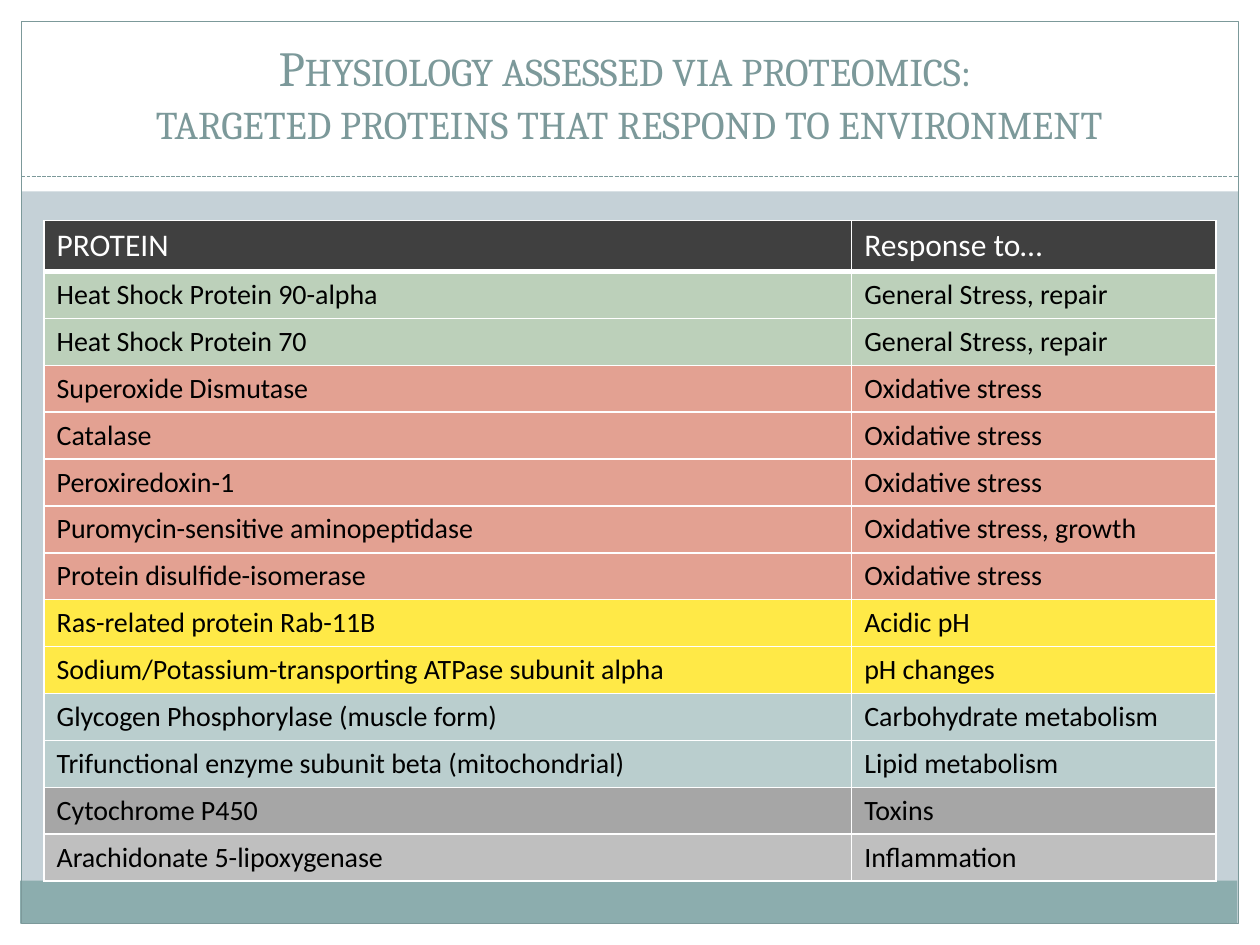
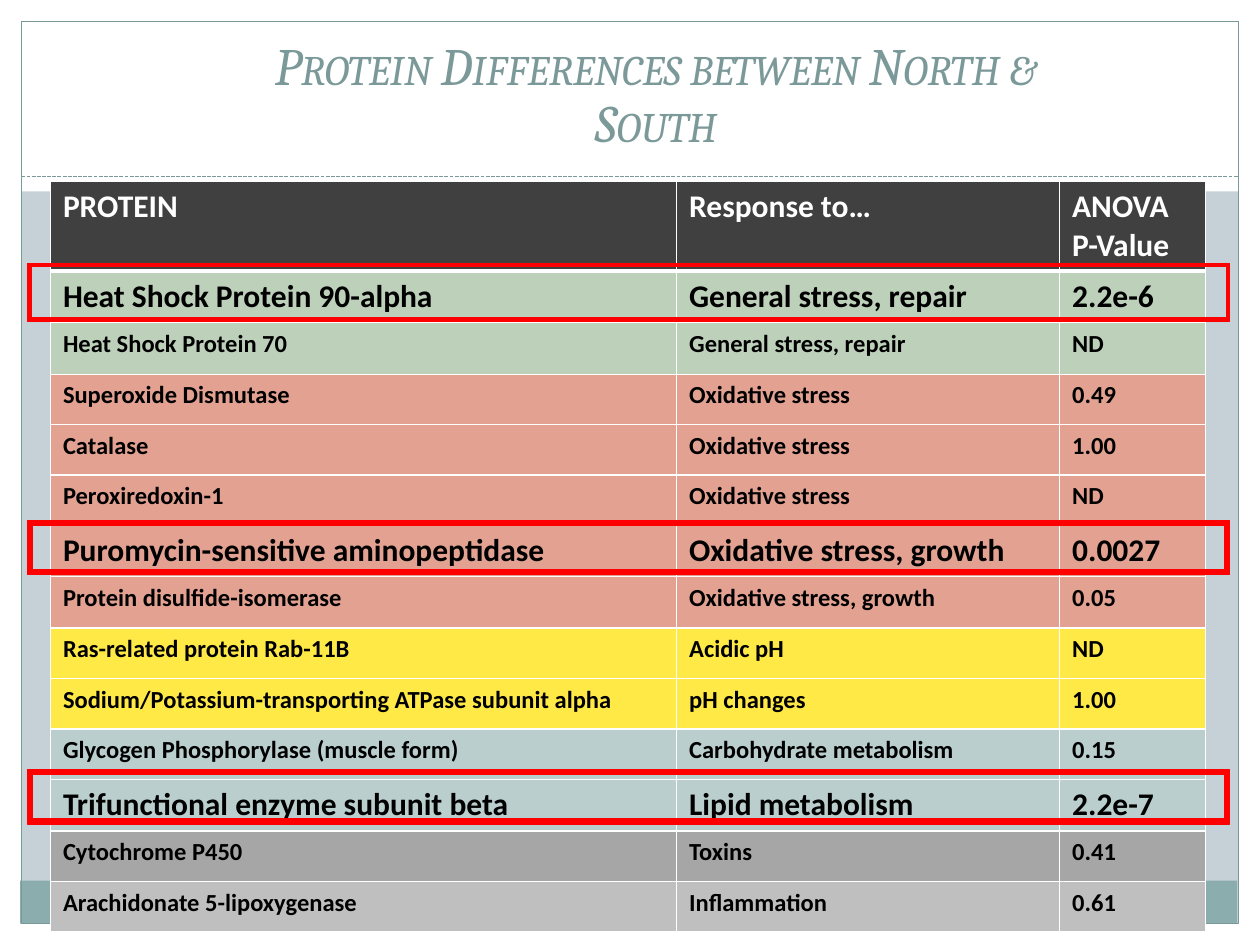
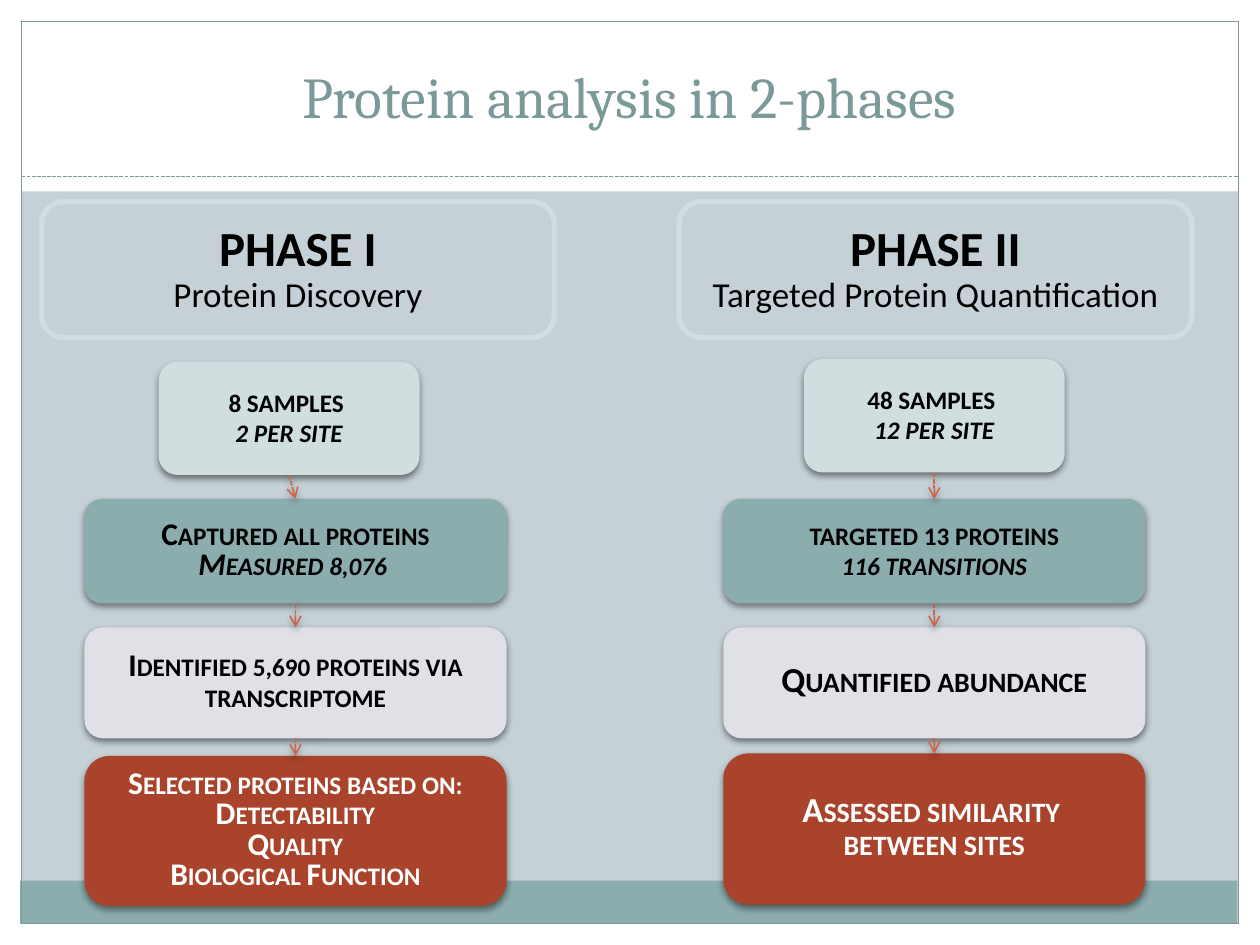
"""Build three slides on targeted protein analysis."""
from dataclasses import dataclass
from itertools import pairwise

from lxml import etree
from pptx import Presentation
from pptx.dml.color import RGBColor
from pptx.enum import dml, shapes, text
from pptx.oxml import ns
from pptx.util import Pt

PX = 9144


@dataclass(frozen=True)
class Theme:
    """Colours, fonts and type sizes of the deck."""
    background: str = "C5D1D7"
    white: str = "FFFFFF"
    black: str = "000000"
    band: str = "8CADAE"
    title: str = "7C999A"
    header: str = "404040"
    pale: str = "D1DEDF"
    lilac: str = "DFE1E7"
    rust: str = "A9432B"
    arrow: str = "D16349"
    highlight: str = "FF0000"
    stress: str = "BCD0BA"
    oxidative: str = "E3A192"
    acidity: str = "FFE947"
    metabolism: str = "BACECE"
    toxins: str = "A6A6A6"
    inflammation: str = "BFBFBF"
    heading_font: str = "Cambria"
    body_font: str = "Calibri"
    phase_size: int = 28
    subtitle_size: int = 20
    strong_size: int = 18
    row_size: int = 16
    small_size: int = 14


THEME = Theme()
ROW_FILLS = ([THEME.header] + [THEME.stress] * 2 + [THEME.oxidative] * 5 + [THEME.acidity] * 2
             + [THEME.metabolism] * 2 + [THEME.toxins, THEME.inflammation])

RESPONSES = [
    ("PROTEIN", "Response to…"),
    ("Heat Shock Protein 90-alpha", "General Stress, repair"),
    ("Heat Shock Protein 70", "General Stress, repair"),
    ("Superoxide Dismutase", "Oxidative stress"),
    ("Catalase", "Oxidative stress"),
    ("Peroxiredoxin-1", "Oxidative stress"),
    ("Puromycin-sensitive aminopeptidase", "Oxidative stress, growth"),
    ("Protein disulfide-isomerase", "Oxidative stress"),
    ("Ras-related protein Rab-11B", "Acidic pH"),
    ("Sodium/Potassium-transporting ATPase subunit alpha", "pH changes"),
    ("Glycogen Phosphorylase (muscle form)", "Carbohydrate metabolism"),
    ("Trifunctional enzyme subunit beta (mitochondrial)", "Lipid metabolism"),
    ("Cytochrome P450", "Toxins"),
    ("Arachidonate 5-lipoxygenase", "Inflammation"),
]
P_VALUES = ["ANOVA P-Value", "2.2e-6", "ND", "0.49", "1.00", "ND", "0.0027", "0.05", "ND",
            "1.00", "0.15", "2.2e-7", "0.41", "0.61"]
REWORDED = {
    "General Stress, repair": "General stress, repair",
    "Trifunctional enzyme subunit beta (mitochondrial)": "Trifunctional enzyme subunit beta",
}
SIGNIFICANT_ROWS = (1, 6, 11)


def emu(*lengths):
    """Turn px lengths into EMU."""
    return [length * PX for length in lengths]


def rgb(color):
    """Turn a hex string into a colour."""
    return RGBColor.from_string(color)


def add_xml(parent, tag, **attributes):
    """Append a DrawingML element and return it."""
    element = etree.SubElement(parent, ns.qn(f"a:{tag}"))
    for name, value in attributes.items():
        element.set(name, str(value))
    return element


def format_paragraph(paragraph, size, color, font=THEME.body_font, bold=False, italic=False,
                     small_caps=False, spacing=None, align=None):
    """Set the font and layout of one paragraph."""
    paragraph.alignment = align
    paragraph.line_spacing = spacing
    style = paragraph.font
    style.name, style.size, style.bold, style.italic = font, Pt(size), bold, italic
    style.color.rgb = rgb(color)
    if small_caps:
        style._rPr.set("cap", "small")


def add_box(slide, kind, box, fill=None, line=None, line_width=0.75):
    """Add a preset shape with plain fill and line."""
    shape = slide.shapes.add_shape(kind, *emu(*box))
    shape.shadow.inherit = False
    if fill:
        shape.fill.solid()
        shape.fill.fore_color.rgb = rgb(fill)
    else:
        shape.fill.background()
    if line:
        shape.line.color.rgb = rgb(line)
        shape.line.width = Pt(line_width)
    else:
        shape.line.fill.background()
    return shape


def add_dashed_line(slide, ends, color, width):
    """Add a dashed straight connector with an empty effect list."""
    line = slide.shapes.add_connector(shapes.MSO_CONNECTOR.STRAIGHT, *emu(*ends))
    line.line.color.rgb = rgb(color)
    line.line.width = Pt(width)
    line.line.dash_style = dml.MSO_LINE.SQUARE_DOT
    return line, add_xml(line.element.spPr, "effectLst")


def add_shadow(effects, opacity):
    """Add a soft shadow falling straight down."""
    shadow = add_xml(effects, "outerShdw", blurRad=Pt(4), dist=Pt(2), dir=5400000,
                     algn="ctr", rotWithShape=0)
    color = add_xml(shadow, "srgbClr", val=THEME.black)
    add_xml(color, "alpha", val=opacity * 1000)


def add_backdrop(slide):
    """Draw the bands and border once and move them to the slide's layout."""
    layout = slide.slide_layout
    layout.background.fill.solid()
    layout.background.fill.fore_color.rgb = rgb(THEME.background)
    rectangle = shapes.MSO_SHAPE.RECTANGLE
    margins = [(0, 733, 1000, 17), (0, 0, 1000, 152), (0, 0, 17, 750), (983, 0, 17, 750)]
    parts = [add_box(slide, rectangle, box, THEME.white) for box in margins]
    parts.append(add_box(slide, rectangle, (16, 699, 966, 34), THEME.band))
    parts.append(add_box(slide, rectangle, (17, 17, 966, 716), line=THEME.title))
    parts.append(add_dashed_line(slide, (17, 140, 983, 140), THEME.title, 0.75)[0])
    for index, part in enumerate(parts):
        part.element.xpath(".//p:cNvPr")[0].set("id", str(100 + index))
        layout.shapes.element.insert(2 + index, part.element)


def add_title(slide, box, words, size, **style):
    """Place and format the title placeholder."""
    title = slide.shapes.title
    title.left, title.top, title.width, title.height = emu(*box)
    frame = title.text_frame
    frame.text = words
    frame.auto_size = text.MSO_AUTO_SIZE.NONE
    frame.vertical_anchor = text.MSO_ANCHOR.BOTTOM
    format_paragraph(frame.paragraphs[0], size, THEME.title, THEME.heading_font,
                     align=text.PP_ALIGN.CENTER, **style)


def format_cell(cell, words, row, size, bold):
    """Fill in one table cell with white borders."""
    cell.text = words
    format_paragraph(cell.text_frame.paragraphs[0], size,
                     THEME.black if row else THEME.white, bold=bold)
    properties = cell._tc.get_or_add_tcPr()
    for side in "LRTB":
        heavy = (row, side) in ((0, "B"), (1, "T"))
        border = add_xml(properties, f"ln{side}", w=Pt(3 if heavy else 1))
        add_xml(add_xml(border, "solidFill"), "srgbClr", val=THEME.white)
    cell.fill.solid()
    cell.fill.fore_color.rgb = rgb(ROW_FILLS[row])


def add_protein_table(slide, origin, widths, heights, rows, sizes, bold=False):
    """Add a table of proteins coloured by response."""
    box = (*origin, sum(widths), sum(heights))
    table = slide.shapes.add_table(len(rows), len(widths), *emu(*box)).table
    table.first_row = table.horz_banding = False
    for column, width in zip(table.columns, emu(*widths)):
        column.width = width
    for row, height in zip(table.rows, emu(*heights)):
        row.height = height
    for row, values in enumerate(rows):
        for column, words in enumerate(values):
            format_cell(table.cell(row, column), words, row, sizes[row], bold)


def add_process(slide, box, lines, **look):
    """Add a rounded box holding centred (words, size, color, style) lines."""
    shape = add_box(slide, shapes.MSO_SHAPE.FLOWCHART_ALTERNATE_PROCESS, box, **look)
    frame = shape.text_frame
    frame.word_wrap = True
    frame.vertical_anchor = text.MSO_ANCHOR.MIDDLE
    for index, (words, size, color, style) in enumerate(lines):
        paragraph = frame.add_paragraph() if index else frame.paragraphs[0]
        paragraph.text = words
        format_paragraph(paragraph, size, color, align=text.PP_ALIGN.CENTER, **style)
    return shape


def add_phase(slide, left, top, name, subtitle, steps):
    """Add a phase heading and its chain of steps below."""
    add_process(slide, (left, top, 407, 108),
                [(name, THEME.phase_size, THEME.black, {"bold": True, "spacing": 0.9}),
                 (subtitle, THEME.subtitle_size, THEME.black, {"spacing": 0.9})],
                line=THEME.pale, line_width=3)
    fills = (THEME.pale, THEME.band, THEME.lilac, THEME.rust)
    chain = []
    for fill, ((x, y, width, height), size, lines, italic_last) in zip(fills, steps):
        color = THEME.white if fill == THEME.rust else THEME.black
        styled = [(words, size, color,
                   {"bold": True, "small_caps": True, "spacing": 0.8,
                    "italic": italic_last and words == lines[-1]}) for words in lines]
        shape = add_process(slide, (left + x, top + y, width, height), styled, fill=fill)
        add_shadow(shape.element.spPr.find(ns.qn("a:effectLst")), 45)
        chain.append(shape)
    for upper, lower in pairwise(chain):
        arrow, effects = add_dashed_line(slide, (0, 0, 0, 0), THEME.arrow, 0.9)
        arrow.begin_connect(upper, 2)
        arrow.end_connect(lower, 0)
        add_xml(arrow.line._get_or_add_ln(), "tailEnd", type="arrow")
        add_shadow(effects, 35)


def build_response_slide(slide):
    """Fill the slide listing proteins and their responses."""
    add_title(slide, (33, 41, 933, 83),
              "Physiology assessed via proteomics: \vtargeted proteins that respond to environment",
              28, small_caps=True, spacing=0.9)
    sizes = [THEME.strong_size] + [THEME.row_size] * 13
    add_protein_table(slide, (35, 175), (641, 289), [36] * 14, RESPONSES, sizes)


def build_difference_slide(slide):
    """Fill the slide comparing proteins of two regions."""
    add_title(slide, (172, 59, 697, 68), "Protein Differences between North & South",
              30, italic=True, small_caps=True, spacing=0.9)
    rows = [(protein, response, value)
            for (protein, response), value in zip(RESPONSES, P_VALUES)]
    rows = [[REWORDED.get(words, words) for words in row] for row in rows]
    rows[7][1] = "Oxidative stress, growth"
    sizes = [THEME.strong_size if row in (0, *SIGNIFICANT_ROWS) else THEME.small_size
             for row in range(len(rows))]
    heights = [69] + [41 if row in (1, 2, 7, 11) else 40 for row in range(1, len(rows))]
    add_protein_table(slide, (40, 144), (497, 304, 116), heights, rows, sizes, bold=True)
    for top, height, thickness in ((209, 46, 0.06), (413, 43, 0.09), (611, 43, 0.09)):
        frame = add_box(slide, shapes.MSO_SHAPE.FRAME, (22, top, 954, height),
                        THEME.highlight, THEME.highlight)
        frame.adjustments[0] = thickness


def build_phase_slide(slide):
    """Fill the slide showing the two phases of analysis."""
    add_title(slide, (33, 25, 933, 83), "Protein analysis in 2-phases", 33)
    strong, large = THEME.strong_size, THEME.subtitle_size
    add_phase(slide, 33, 160, "PHASE I", "Protein Discovery", [
        ((93, 127, 207, 90), strong, ["8 samples ", "2 per site"], True),
        ((34, 236, 335, 83), strong, ["Captured all proteins", "Measured 8,076 "], True),
        ((34, 338, 335, 88), strong, ["Identified 5,690 proteins via transcriptome"], False),
        ((34, 440, 335, 119), strong, ["Selected proteins based on:", "Detectability",
                                       "Quality", "Biological Function"], False),
    ])
    add_phase(slide, 539, 160, "PHASE II", "Targeted Protein Quantification", [
        ((99, 125, 207, 90), strong, ["48 samples ", "12 per site"], True),
        ((35, 236, 335, 83), strong, ["targeted 13 proteins", "116 transitions"], True),
        ((35, 338, 335, 88), large, ["Quantified abundance"], False),
        ((35, 438, 335, 120), large, ["Assessed similarity ", "between sites"], False),
    ])


def main():
    """Build and save the presentation."""
    presentation = Presentation()
    presentation.slide_width, presentation.slide_height = emu(1000, 750)
    layout = presentation.slide_layouts[5]
    builders = (build_response_slide, build_difference_slide, build_phase_slide)
    for index, build in enumerate(builders):
        slide = presentation.slides.add_slide(layout)
        if index == 0:
            add_backdrop(slide)
        build(slide)
    presentation.save("out.pptx")


if __name__ == "__main__":
    main()
